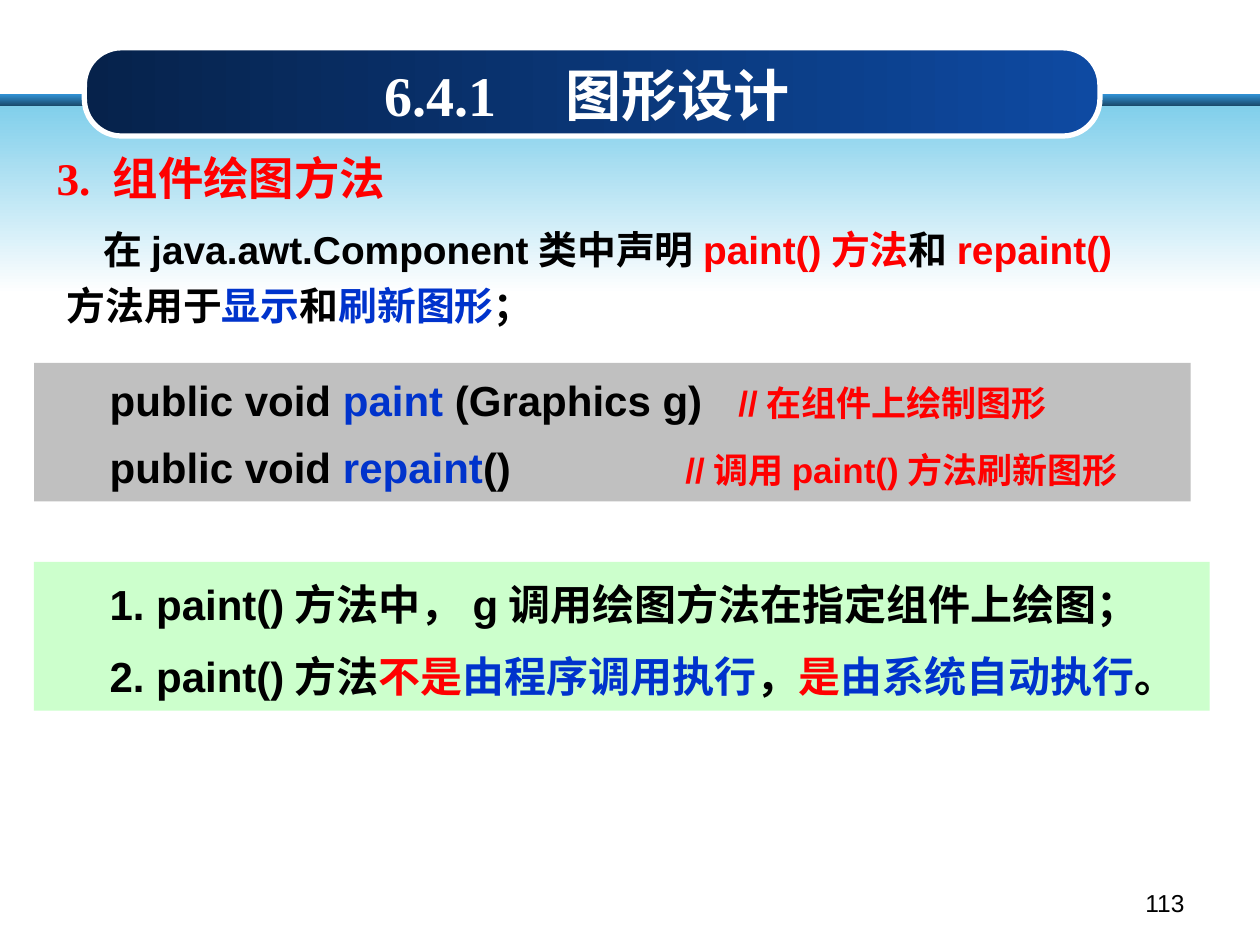
from lxml.etree import SubElement
from pptx import Presentation
from pptx.dml.color import RGBColor
from pptx.enum.shapes import MSO_SHAPE
from pptx.enum.text import MSO_ANCHOR, PP_ALIGN
from pptx.oxml.ns import qn
from pptx.util import Inches, Pt

COLORS = {
    "black": "000000", "white": "FFFFFF", "red": "FF0000", "blue": "0033CC",
    "gray": "C0C0C0", "mint": "CCFFCC", "bar_top": "3191D3", "bar_bottom": "174362",
    "sky": "81CFEB", "navy": "06224B", "royal": "0E4AA2",
}
HAN, SANS, SERIF = "Noto Sans CJK SC", "Arial", "Times New Roman"
FRAME = {
    "word_wrap": True, "vertical_anchor": MSO_ANCHOR.TOP,
    "margin_left": Inches(0.1), "margin_right": Inches(0.1),
    "margin_top": Inches(0.05), "margin_bottom": Inches(0.05),
}


def rgb(name):
    """Look up a palette colour."""
    return RGBColor.from_string(COLORS[name])


def apply(target, formats):
    """Set every attribute in a dict of format values."""
    for name, value in formats.items():
        setattr(target, name, value)


def add_panel(slide, box, fill, angle=0, shape=MSO_SHAPE.RECTANGLE):
    """Add a borderless shape with one colour or a pair as gradient."""
    panel = slide.shapes.add_shape(shape, *map(Inches, box))
    panel.shadow.inherit = False
    panel.line.fill.background()
    if isinstance(fill, str):
        panel.fill.solid()
        panel.fill.fore_color.rgb = rgb(fill)
        return panel
    panel.fill.gradient()
    panel.fill.gradient_angle = angle
    for stop, color, position in zip(panel.fill.gradient_stops, fill, (0, 1)):
        stop.color.rgb = rgb(color)
        stop.position = position
    return panel


def add_text_box(slide, box):
    """Add an empty text box."""
    return slide.shapes.add_textbox(*map(Inches, box))


def write_runs(paragraph, runs, size, bold=True):
    """Write (text, font, colour[, size]) runs into a paragraph."""
    for text, font, color, *own_size in runs:
        run = paragraph.add_run()
        run.text = text
        apply(run.font, {"name": font, "size": Pt(own_size[0] if own_size else size), "bold": bold})
        run.font.color.rgb = rgb(color)
        SubElement(run.font._element, qn("a:ea"), typeface=HAN)


def write_text(holder, lines, size, spacing=1.0, before=0, tabs=(), indent=0,
               align=PP_ALIGN.LEFT, bold=True, **frame_formats):
    """Fill a shape with paragraphs, one tab stop and a first-line indent."""
    frame = holder.text_frame
    apply(frame, FRAME | frame_formats)
    for index, runs in enumerate(lines):
        paragraph = frame.paragraphs[0] if index == 0 else frame.add_paragraph()
        properties = paragraph._p.get_or_add_pPr()
        if indent and index == 0:
            properties.set("indent", str(Inches(indent)))
        if tabs:
            stops = SubElement(properties, qn("a:tabLst"))
            SubElement(stops, qn("a:tab"), pos=str(Inches(tabs[index])), algn="l")
        apply(paragraph, {"alignment": align, "line_spacing": spacing,
                          "space_before": Pt(before if index else 0)})
        write_runs(paragraph, runs, size, bold)


def add_banner(slide, box):
    """Draw the sky band, the dark bar and the rounded title plate."""
    left, top, width, _ = box
    add_panel(slide, (left, top + 0.37, width, 0.1), ("bar_top", "bar_bottom"), 270)
    add_panel(slide, (left, top + 0.46, width, 1.49), ("sky", "white"), 270)
    plate = add_panel(slide, (left + 0.67, top, 8.06, 0.7), ("navy", "royal"),
                      shape=MSO_SHAPE.ROUNDED_RECTANGLE)
    plate.adjustments[0] = 0.42
    plate.line.color.rgb = rgb("white")
    plate.line.width = Pt(3)


def add_title(slide, box):
    """Write the section number and title."""
    write_text(add_text_box(slide, box), [[("6.4.1\t图形设计", SERIF, "white")]], 32,
               tabs=(1.44,), vertical_anchor=MSO_ANCHOR.BOTTOM)


def add_introduction(slide, box):
    """Write the topic heading with its statement below."""
    left, top, width, _ = box
    write_text(add_text_box(slide, (left, top, 3.39, 0.47)),
               [[("3. ", SERIF, "red"), ("组件绘图方法", HAN, "red")]], 25.9, 0.8)
    statement = [
        [("在", HAN, "black"), ("java.awt.Component", SANS, "black"),
         ("类中声明", HAN, "black"), ("paint()", SANS, "red"), ("方法", HAN, "red"),
         ("和", HAN, "black"), ("repaint()", SANS, "red")],
        [("方法用于", HAN, "black"), ("显示", HAN, "blue"), ("和", HAN, "black"),
         ("刷新图形", HAN, "blue"), ("；", HAN, "black")],
    ]
    write_text(add_text_box(slide, (left + 0.08, top + 0.55, width - 0.08, 1.02)),
               statement, 22.2, 0.9, 8, indent=0.29)


def add_declarations(slide, box):
    """Write the two method declarations with their comments."""
    declarations = [
        [("public void", SANS, "black"), (" paint ", SANS, "blue"),
         ("(Graphics g)\t", SANS, "black"), ("//", SANS, "red", 20),
         ("在组件上绘制图形", HAN, "red", 20)],
        [("public void", SANS, "black"), (" repaint", SANS, "blue"),
         ("()\t", SANS, "black"), ("//", SANS, "red", 20), ("调用", HAN, "red", 20),
         ("paint()", SANS, "red", 20), ("方法刷新图形", HAN, "red", 20)],
    ]
    write_text(add_panel(slide, box, "gray"), declarations, 24, 1.1, 7,
               tabs=(4.99, 4.57), margin_left=Inches(0.6))


def add_notes_on_paint(slide, box):
    """Write the two remarks on how paint() is run."""
    remarks = [
        [("1. paint()", SANS, "black"), ("方法中，", HAN, "black"), ("g", SANS, "black"),
         ("调用绘图方法在指定组件上绘图；", HAN, "black")],
        [("2. paint()", SANS, "black"), ("方法", HAN, "black"), ("不是", HAN, "red"),
         ("由程序调用执行", HAN, "blue"), ("，", HAN, "black"), ("是", HAN, "red"),
         ("由系统自动执行", HAN, "blue"), ("。", HAN, "black")],
    ]
    write_text(add_panel(slide, box, "mint"), remarks, 24, 1.2, 7, margin_left=Inches(0.6))


def add_page_number(slide, box):
    """Write the page number at the right."""
    write_text(add_text_box(slide, box), [[("113", SANS, "black")]], 14,
               align=PP_ALIGN.RIGHT, bold=False)


def main():
    """Build and save the slide."""
    deck = Presentation()
    apply(deck, {"slide_width": Inches(10), "slide_height": Inches(7.5)})
    slide = deck.slides.add_slide(deck.slide_layouts[6])
    add_banner(slide, (0, 0.38, 10, 1.95))
    add_introduction(slide, (0.35, 1.23, 9.28, 1.57))
    add_declarations(slide, (0.27, 2.88, 9.18, 1.1))
    add_notes_on_paint(slide, (0.27, 4.46, 9.33, 1.18))
    add_title(slide, (2.95, 0.36, 3.78, 0.7))
    add_page_number(slide, (7.17, 7, 2.33, 0.35))
    deck.save("out.pptx")


if __name__ == "__main__":
    main()
